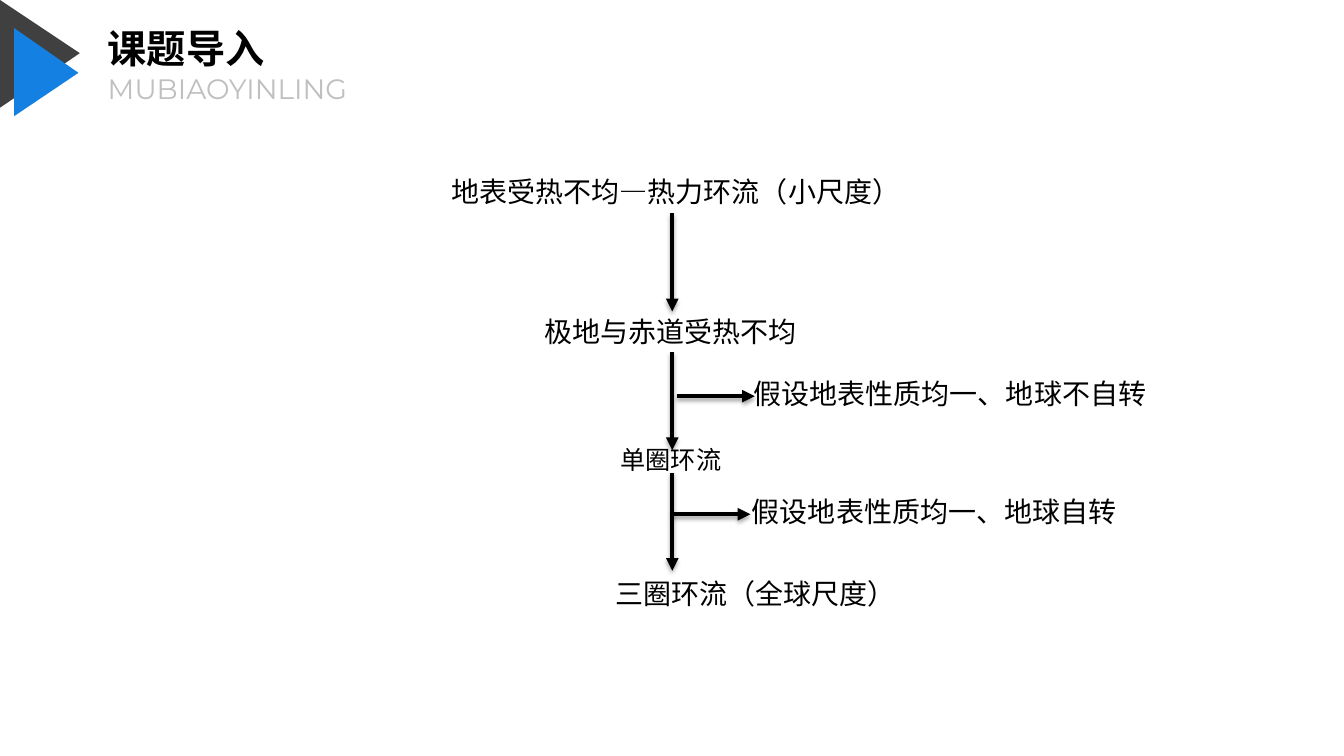
from lxml import etree
from pptx import Presentation
from pptx.dml.color import RGBColor
from pptx.enum.lang import MSO_LANGUAGE_ID
from pptx.enum.shapes import MSO_CONNECTOR
from pptx.enum.text import MSO_AUTO_SIZE
from pptx.oxml import parse_xml
from pptx.oxml.ns import qn
from pptx.util import Pt

CHINESE = MSO_LANGUAGE_ID.SIMPLIFIED_CHINESE
STRAIGHT = MSO_CONNECTOR.STRAIGHT
FIT_SHAPE = MSO_AUTO_SIZE.SHAPE_TO_FIT_TEXT

THEME = {
    "black": "000000", "dark": "404040", "blue": "1481E2", "grey": "BFBFBF",
    "font": "Arial", "subtitle_font": "Montserrat",
    "title_size": 28, "body_size": 20, "small_size": 18, "line": 3,
}

# All positions and lengths are in points.
TITLE = ("课题导入", 77, 17.3, 317.5, 33.8)
SUBTITLE = ("MUBIAOYINLING", 77, 51.1, 208.8, 24.5)
TRIANGLES = [  # left, top, tip x, height, colour
    (0, 0, 57, 77, "dark"),
    (9.5, 20.5, 55.6, 62.5, "blue"),
]
LABELS = [  # text, left, top, width, size
    ("地表受热不均—热力环流（小尺度）", 315.4, 121, 337.7, "body_size"),
    ("极地与赤道受热不均", 381.6, 221, 196.6, "body_size"),
    ("假设地表性质均一、地球不自转", 531.2, 265.7, 297.4, "body_size"),
    ("单圈环流", 436.2, 313.9, 87, "small_size"),
    ("假设地表性质均一、地球自转", 530, 350, 277.2, "body_size"),
    ("三圈环流（全球尺度）", 432.3, 408.2, 216.7, "body_size"),
]
AXIS_X, STEP_LENGTH, BRANCH_LENGTH = 480.2, 70, 55.8
STEP_TOPS = [152.4, 251.5, 337.7]
BRANCHES = [(483.4, 283), (AXIS_X, 367.3)]

SHADOW = """<a:effectLst xmlns:a="http://schemas.openxmlformats.org/drawingml/2006/main">
  <a:outerShdw blurRad="{blur}" dist="{distance}" dir="5400000" rotWithShape="0">
    <a:srgbClr val="{color}"><a:alpha val="35000"/></a:srgbClr>
  </a:outerShdw></a:effectLst>"""


def color(name):
    return RGBColor.from_string(THEME[name])


def add_text(slide, text, left, top, width, height, *, size="body_size",
             font="font", ink="black", bold=False, wrap=False, inset=True):
    box = slide.shapes.add_textbox(Pt(left), Pt(top), Pt(width), Pt(height))
    frame = box.text_frame
    frame.word_wrap = wrap
    frame.auto_size = FIT_SHAPE
    if not inset:
        frame.margin_left = frame.margin_right = 0
        frame.margin_top = frame.margin_bottom = 0
    span = frame.paragraphs[0].add_run()
    span.text = text
    span.font.name = THEME[font]
    span.font.size = Pt(THEME[size])
    span.font.bold = bold
    span.font.color.rgb = color(ink)
    span.font.language_id = CHINESE


def add_triangle(slide, left, top, tip_x, height, fill):
    builder = slide.shapes.build_freeform(left, top, scale=Pt(1))
    builder.add_line_segments([(tip_x, top + height / 2), (left, top + height)])
    triangle = builder.convert_to_shape()
    triangle.shadow.inherit = False
    triangle.fill.solid()
    triangle.fill.fore_color.rgb = color(fill)
    triangle.line.fill.background()


def add_arrow(slide, x, y, across=0, down=0):
    arrow = slide.shapes.add_connector(
        STRAIGHT, Pt(x), Pt(y), Pt(x + across), Pt(y + down))
    arrow.line.color.rgb = color("black")
    arrow.line.width = Pt(THEME["line"])
    etree.SubElement(arrow.line._get_or_add_ln(), qn("a:tailEnd"), type="triangle")
    arrow._element.spPr.append(parse_xml(SHADOW.format(
        blur=Pt(3.1), distance=Pt(1.8), color=THEME["black"])))


def main():
    deck = Presentation()
    deck.slide_width, deck.slide_height = Pt(960), Pt(540)
    slide = deck.slides.add_slide(deck.slide_layouts[6])

    for triangle in TRIANGLES:
        add_triangle(slide, *triangle)
    add_text(slide, *TITLE, size="title_size", bold=True, wrap=True, inset=False)
    add_text(slide, *SUBTITLE, font="subtitle_font", ink="grey", wrap=True, inset=False)

    for text, left, top, width, size in LABELS:
        height = THEME[size] * 1.2 + 7.4
        add_text(slide, text, left, top, width, height, size=size)
    for top in STEP_TOPS:
        add_arrow(slide, AXIS_X, top, down=STEP_LENGTH)
    for left, top in BRANCHES:
        add_arrow(slide, left, top, across=BRANCH_LENGTH)

    deck.save("out.pptx")


if __name__ == "__main__":
    main()
